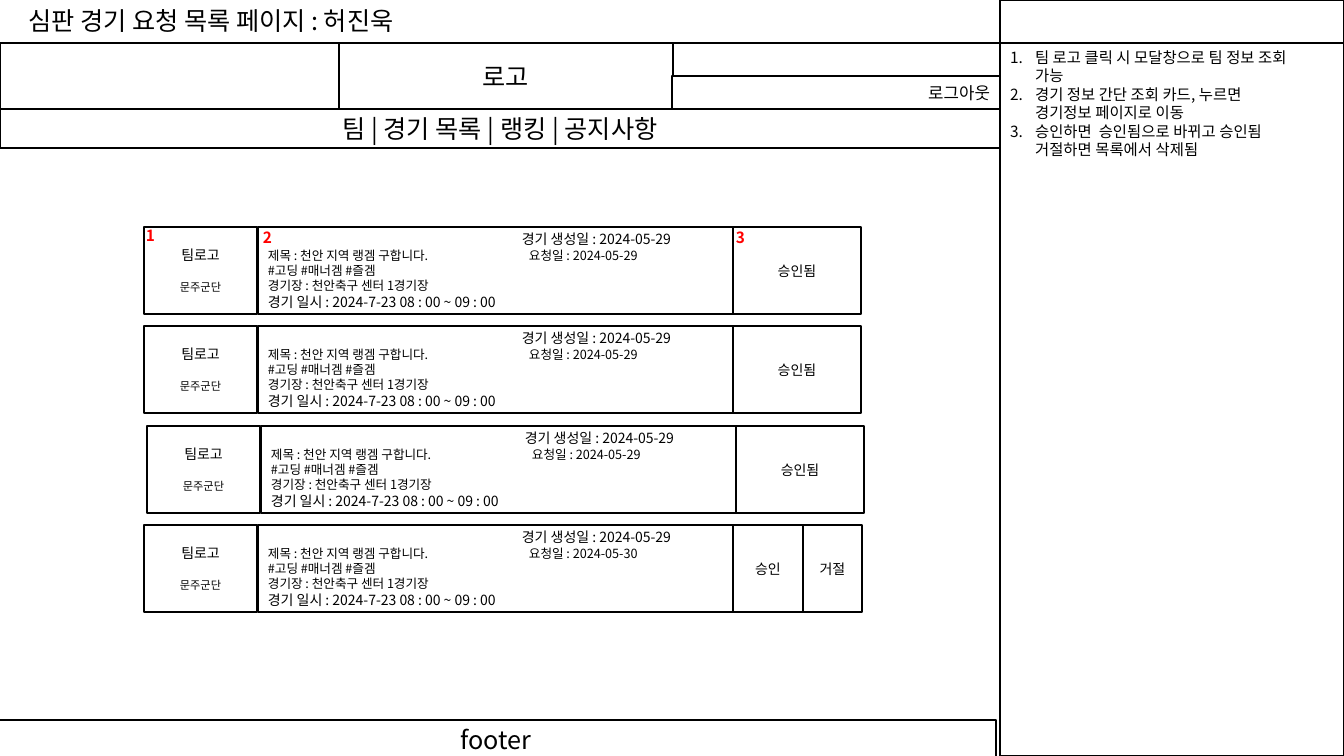
from lxml import etree
from pptx import Presentation
from pptx.dml.color import RGBColor
from pptx.enum.shapes import MSO_SHAPE
from pptx.enum.text import MSO_ANCHOR, MSO_AUTO_SIZE, PP_ALIGN
from pptx.oxml.ns import qn
from pptx.util import Pt

BLACK = RGBColor(0, 0, 0)
WHITE = RGBColor(255, 255, 255)
RED = RGBColor(255, 0, 0)
RECT = MSO_SHAPE.RECTANGLE
LEFT, MID, RIGHT = PP_ALIGN.LEFT, PP_ALIGN.CENTER, PP_ALIGN.RIGHT
TOP = MSO_ANCHOR.TOP
FIXED = MSO_AUTO_SIZE.NONE
FACE = "Noto Sans CJK KR"
SCALE = 12192000 / 1344


def emu(px):
    return round(px * SCALE)


class Page:
    """Draws styled boxes, labels and lists on one slide."""

    def __init__(self, deck):
        self.slide = deck.slides.add_slide(deck.slide_layouts[1])
        self.shapes = self.slide.shapes

    def letter(self, frame, lines, align=LEFT, color=BLACK, bold=False):
        frame.word_wrap = True
        frame.text = "\n".join(text for text, size in lines)
        for para, (text, size) in zip(frame.paragraphs, lines):
            para.alignment = align
            para.space_before = Pt(0)
            font = para.font
            font.name, font.size, font.bold = FACE, Pt(size), bold
            font.color.rgb = color
            base = para._p.pPr.find(qn("a:defRPr"))
            latin = base.find(qn("a:latin"))
            latin.addnext(etree.Element(qn("a:ea"), typeface=FACE))
        return frame.paragraphs

    def prop(self, para, tag, **attrs):
        item = etree.Element(qn(tag), **attrs)
        para._p.pPr.find(qn("a:defRPr")).addprevious(item)
        return item

    def inset(self, para, left, first):
        para._p.pPr.set("marL", str(emu(left)))
        para._p.pPr.set("indent", str(emu(first)))

    def box(self, x, y, w, h, lines=(), align=MID):
        box = self.shapes.add_shape(RECT, emu(x), emu(y), emu(w), emu(h))
        box.shadow.inherit = False
        box.fill.solid()
        box.fill.fore_color.rgb = WHITE
        box.line.color.rgb = BLACK
        box.line.width = Pt(1)
        return self.letter(box.text_frame, lines, align) if lines else ()

    def badge(self, x, y, text):
        label = self.shapes.add_textbox(emu(x), emu(y), emu(38), emu(29))
        self.letter(label.text_frame, [(text, 11)], color=RED, bold=True)

    def holder(self, index, x, y, w, h, lines):
        hold = self.slide.placeholders[index]
        hold.left, hold.top, hold.width, hold.height = map(emu, (x, y, w, h))
        self.shapes._spTree.append(hold._element)
        frame = hold.text_frame
        frame.auto_size = FIXED
        frame.vertical_anchor = TOP
        return self.letter(frame, lines)

    def title(self, x, y, w, h, text):
        self.holder(0, x, y, w, h, [(text, 18)])

    def notes(self, x, y, w, h, items):
        for para in self.holder(1, x, y, w, h, [(text, 11) for text in items]):
            self.inset(para, 25, -25)
            self.prop(para, "a:buFont", typeface=FACE)
            self.prop(para, "a:buAutoNum", type="arabicPeriod")

    def card(self, x, y, asked, states):
        team = self.box(x, y, 113, 87, [("팀로고", 10), ("문주군단", 8)])
        team[1].space_before = Pt(12)
        info = self.box(x + 114, y, 475, 87, [
            ("경기 생성일 : 2024-05-29", 10),
            (f"제목 : 천안 지역 랭겜 구합니다.\t요청일 : {asked}", 9),
            ("#고딩 #매너겜 #즐겜", 9),
            ("경기장 : 천안축구 센터 1경기장", 9),
            ("경기 일시 : 2024-7-23 08 : 00 ~ 09 : 00", 10),
        ], LEFT)
        self.inset(info[0], 254, 0)
        tabs = self.prop(info[1], "a:tabLst")
        etree.SubElement(tabs, qn("a:tab"), pos=str(emu(261)), algn="l")
        left = x + 589
        for text, width in states:
            self.box(left, y, width, 87, [(text, 10)])
            left += width


def main():
    deck = Presentation()
    deck.slide_width, deck.slide_height = emu(1344), emu(756)
    page = Page(deck)

    page.box(1000, 43, 344, 713)
    page.box(1000, 0, 344, 43)
    page.box(0, 43, 1000, 105)
    page.box(339, 43, 334, 66, [("로고", 18)])
    page.box(0, 109, 1000, 39, [("팀 | 경기 목록 | 랭킹 | 공지사항", 18)])
    page.box(672, 76, 328, 33, [("로그아웃", 12)], RIGHT)
    page.box(-4, 720, 1000, 39, [("footer", 18)])

    done = [("승인됨", 128)]
    choice = [("승인", 70), ("거절", 59)]
    cards = [
        (144, "2024-05-29", done),
        (144, "2024-05-29", done),
        (147, "2024-05-29", done),
        (144, "2024-05-30", choice),
    ]
    for i, (x, asked, states) in enumerate(cards):
        page.card(x, 227 + i * 199 // 2, asked, states)

    for x, y, text in [(136, 221, "1"), (253, 223, "2"), (726, 223, "3")]:
        page.badge(x, y, text)

    page.title(18, 0, 469, 40, "심판 경기 요청 목록 페이지 : 허진욱")
    page.notes(1000, 43, 309, 141, [
        "팀 로고 클릭 시 모달창으로 팀 정보 조회 가능",
        "경기 정보 간단 조회 카드, 누르면 경기정보 페이지로 이동",
        "승인하면  승인됨으로 바뀌고 승인됨 거절하면 목록에서 삭제됨",
    ])
    deck.save("out.pptx")


if __name__ == "__main__":
    main()
